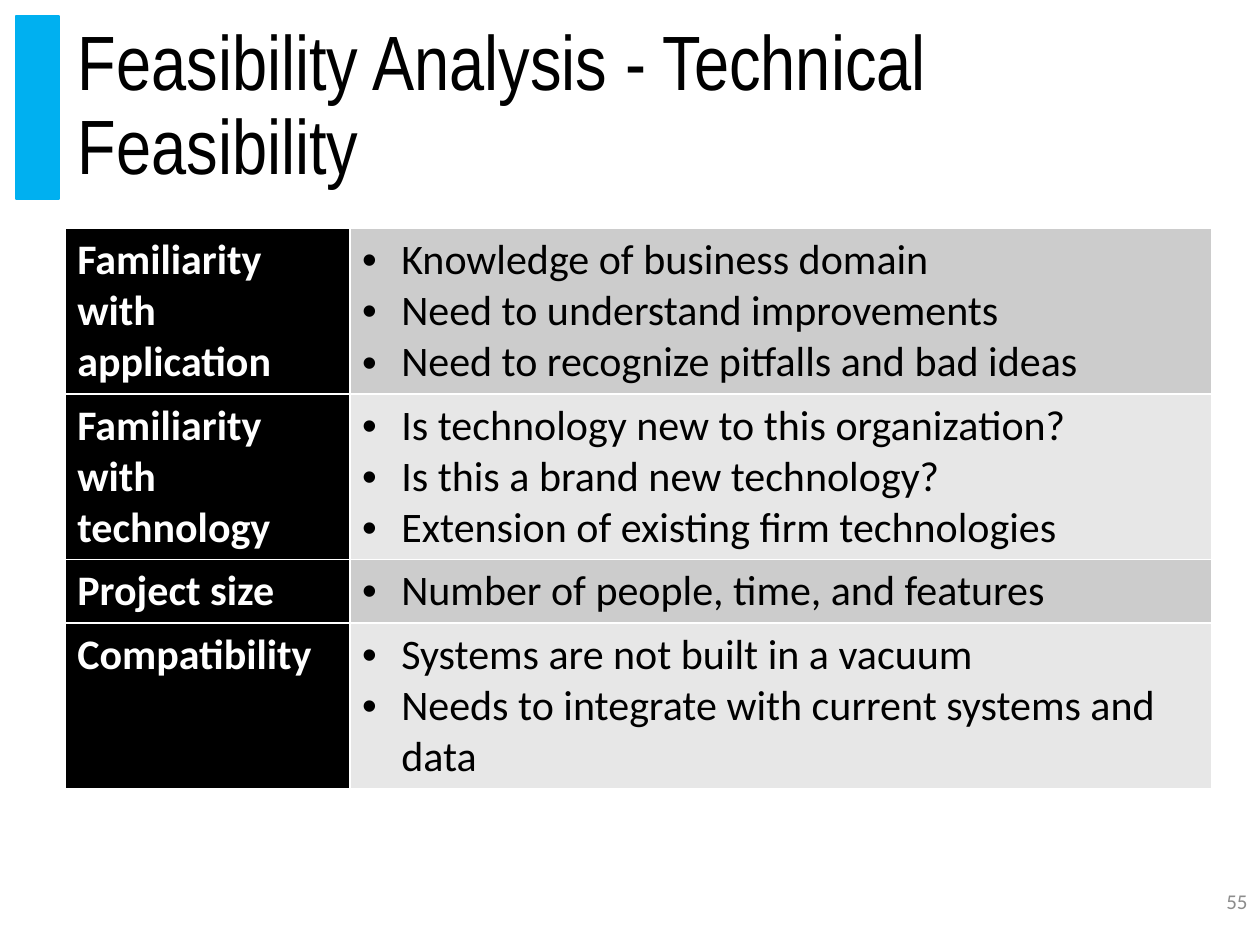
from lxml.etree import SubElement
from pptx import Presentation
from pptx.dml.color import RGBColor
from pptx.enum.shapes import MSO_SHAPE as Preset
from pptx.enum.text import MSO_ANCHOR as Anchor, PP_ALIGN as Align
from pptx.oxml import parse_xml
from pptx.oxml.ns import nsdecls, qn
from pptx.util import Cm, Pt

BLACK, WHITE = "000000", "FFFFFF"
BANDS = ("CCCCCC", "E7E7E7")
CRITERIA = [
    ("Familiarity with application", 3, [
        "Knowledge of business domain",
        "Need to understand improvements",
        "Need to recognize pitfalls and bad ideas",
    ]),
    ("Familiarity with technology", 3, [
        "Is technology new to this organization?",
        "Is this a brand new technology?",
        "Extension of existing firm technologies",
    ]),
    ("Project size", 1, ["Number of people, time, and features"]),
    ("Compatibility", 3, [
        "Systems are not built in a vacuum",
        "Needs to integrate with current systems and data",
    ]),
]


def color(value):
    return RGBColor.from_string(value)


class SlideBuilder:
    heading_font = "Arial Narrow"
    body_font = "Calibri"
    body_size = 24
    line_height = 1.03
    cell_padding = 0.24
    bullet_indent = 0.79

    def __init__(self, slide):
        self.slide = slide

    def add_run(self, paragraph, text, font, size, fill, bold=False):
        run = paragraph.add_run()
        run.text = text
        run.font.name = font
        run.font.size = Pt(size)
        run.font.bold = bold
        run.font.color.rgb = color(fill)

    def bar(self, left, top, width, height, fill):
        shape = self.slide.shapes.add_shape(
            Preset.RECTANGLE, Cm(left), Cm(top), Cm(width), Cm(height))
        shape.shadow.inherit = False
        shape.fill.solid()
        shape.fill.fore_color.rgb = color(fill)
        shape.line.color.rgb = color(fill)
        shape.line.width = Pt(1)

    def text(self, left, top, width, height, content, font, size, fill,
             align=Align.LEFT, spacing=1.0):
        shape = self.slide.shapes.add_textbox(
            Cm(left), Cm(top), Cm(width), Cm(height))
        frame = shape.text_frame
        frame.word_wrap = True
        frame.vertical_anchor = Anchor.MIDDLE
        paragraph = frame.paragraphs[0]
        paragraph.alignment = align
        paragraph.line_spacing = spacing
        self.add_run(paragraph, content, font, size, fill)

    def bullet(self, paragraph):
        properties = paragraph._p.get_or_add_pPr()
        indent = Cm(self.bullet_indent)
        properties.set("marL", str(indent))
        properties.set("indent", str(-indent))
        SubElement(properties, qn("a:buFont"), typeface="Arial")
        SubElement(properties, qn("a:buChar"), char="•")

    def cell(self, cell, lines, fill, text_color, bold=False, bulleted=False):
        cell.margin_left = cell.margin_right = Cm(self.cell_padding)
        cell.vertical_anchor = Anchor.TOP
        cell.fill.solid()
        cell.fill.fore_color.rgb = color(fill)
        properties = cell._tc.get_or_add_tcPr()
        for index, side in enumerate("LRTB"):
            properties.insert(index, parse_xml(
                f'<a:ln{side} {nsdecls("a")} w="{Pt(1)}"><a:solidFill>'
                f'<a:srgbClr val="{WHITE}"/></a:solidFill></a:ln{side}>'))
        frame = cell.text_frame
        for index, line in enumerate(lines):
            paragraph = frame.add_paragraph() if index else frame.paragraphs[0]
            if bulleted:
                self.bullet(paragraph)
            self.add_run(paragraph, line, self.body_font, self.body_size,
                         text_color, bold)

    def table(self, left, top, widths, criteria):
        heights = [0.25 + self.line_height * lines for _, lines, _ in criteria]
        table = self.slide.shapes.add_table(
            len(criteria), len(widths), Cm(left), Cm(top),
            Cm(sum(widths)), Cm(sum(heights))).table
        table.first_row = False
        table.horz_banding = False
        for column, width in zip(table.columns, widths):
            column.width = Cm(width)
        for index, (name, _, points) in enumerate(criteria):
            table.rows[index].height = Cm(heights[index])
            self.cell(table.cell(index, 0), [name], BLACK, WHITE, bold=True)
            self.cell(table.cell(index, 1), points, BANDS[index % 2], BLACK,
                      bulleted=True)


def main():
    presentation = Presentation()
    presentation.slide_width = Cm(25.4)
    presentation.slide_height = Cm(19.05)
    builder = SlideBuilder(
        presentation.slides.add_slide(presentation.slide_layouts[6]))
    builder.bar(0.33, 0.33, 0.86, 3.68, "00B0F0")
    builder.text(1.32, 0.33, 23.11, 3.68,
                 "Feasibility Analysis - Technical Feasibility",
                 builder.heading_font, 44, BLACK, spacing=0.9)
    builder.table(1.32, 4.6, (5.74, 17.37), CRITERIA)
    builder.text(19.69, 17.65, 5.71, 1.02, "55", builder.body_font, 12,
                 "8C8C8C", align=Align.RIGHT)
    presentation.save("out.pptx")


if __name__ == "__main__":
    main()
